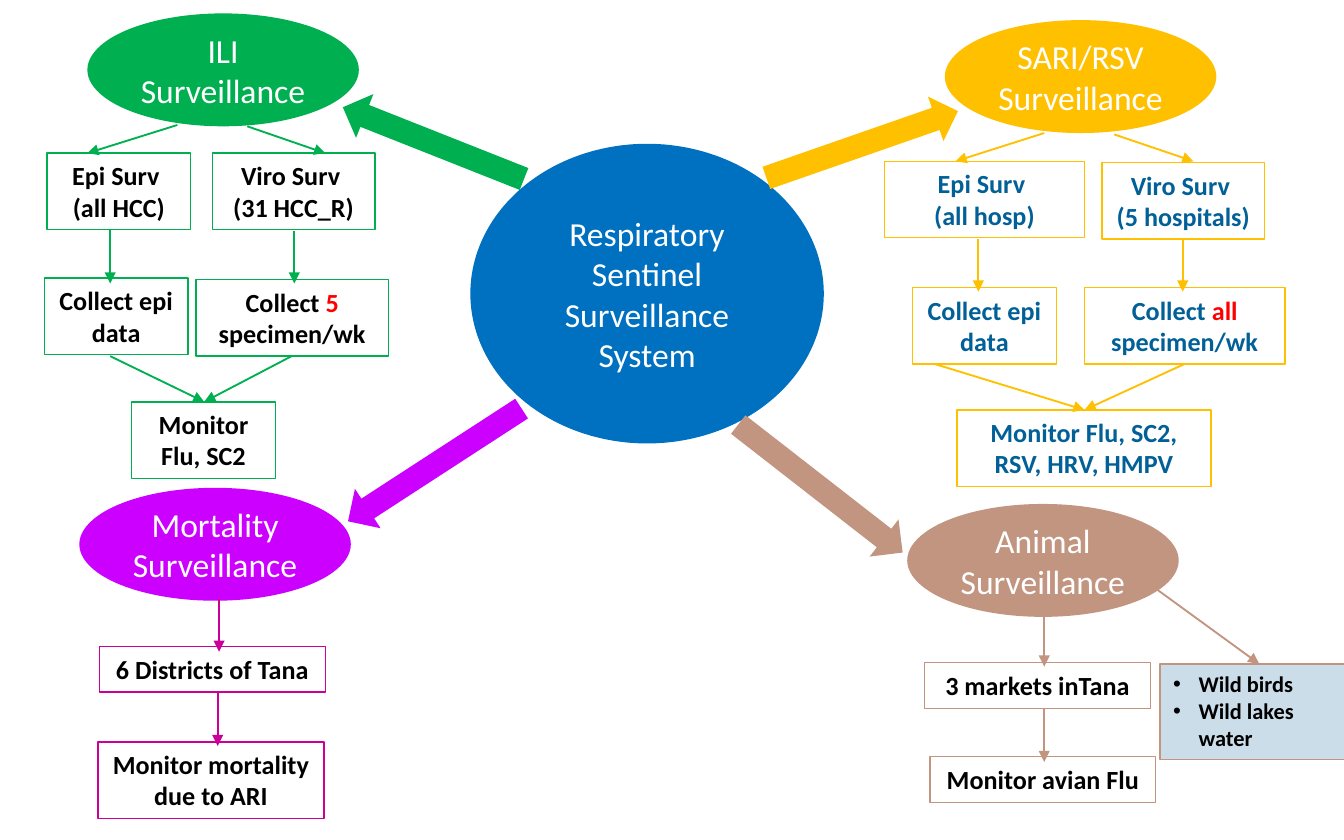
from lxml import etree
from pptx import Presentation
from pptx import util as u
from pptx.dml.color import RGBColor
from pptx.enum import shapes, text
from pptx.oxml import ns

COLORS = {
    "blue": "0070C0", "green": "00B050", "yellow": "FFC000",
    "purple": "CC00FF", "magenta": "CC0099", "brown": "C29580",
    "navy": "006097", "pale": "CCDDEA", "red": "FF0000",
    "black": "000000", "white": "FFFFFF",
}
FONT = "Calibri"
ONE_LINE, TWO_LINES = 0.34, 0.57   # box heights
ARROW_WIDTH = 0.35
OVAL_WIDTH, OVAL_HEIGHT = 2.02, 0.84

# Block arrows from the hub: left, top, length, rotation, colour
HUB_ARROWS = [
    (6.24, 0.32, 1.51, 250.8, "yellow"),
    (5.93, 2.86, 1.55, 307.9, "brown"),
    (3.05, 0.34, 1.45, 111.6, "green"),
    (3.06, 2.69, 1.54, 57, "purple"),
]

# Ovals: left, top, label, colour
OVALS = [
    (0.65, 0.1, "ILI Surveillance", "green"),
    (7.03, 0.15, "SARI/RSV Surveillance", "yellow"),
    (0.59, 3.63, "Mortality Surveillance", "purple"),
    (6.75, 3.75, "Animal Surveillance", "brown"),
]

# Branches: line colour, text colour, boxes and arrows.
# Box: left, top, width, height, paragraphs; a tuple paragraph holds
# (before, highlighted, after). Arrow: x and y of start, x and y of end.
BRANCHES = [
    ("green", "black", [
        (1.58, 1.14, 1.21, TWO_LINES, ["Viro Surv ", "(31 HCC_R)"]),
        (0.35, 1.14, 1.07, TWO_LINES, ["Epi Surv ", "(all HCC)"]),
        (0.33, 2.07, 1.07, TWO_LINES, ["Collect epi data"]),
        (1.46, 2.08, 1.43, TWO_LINES, [("Collect ", "5 ", "specimen/wk")]),
        (0.98, 2.99, 1.07, TWO_LINES, ["Monitor Flu, SC2"]),
    ], [
        (1.32, 0.93, 0.65, 1.14), (1.84, 0.94, 2.42, 1.14),
        (2.19, 1.72, 2.19, 2.11), (0.82, 1.71, 0.82, 2.11),
        (0.82, 2.65, 1.52, 2.99), (2.17, 2.65, 1.52, 2.99),
    ]),
    ("yellow", "navy", [
        (8.2, 1.21, 1.21, TWO_LINES, ["Viro Surv ", "(5 hospitals)"]),
        (6.58, 1.2, 1.49, TWO_LINES, ["Epi Surv ", "(all hosp)"]),
        (6.79, 2.14, 1.07, TWO_LINES, ["Collect epi data"]),
        (8.07, 2.14, 1.49, TWO_LINES, [("Collect ", "all ", "specimen/wk")]),
        (7.12, 3.05, 1.89, TWO_LINES, ["Monitor Flu, SC2, RSV, HRV, HMPV"]),
    ], [
        (7.77, 0.99, 7.11, 1.2), (8.29, 1, 8.88, 1.2),
        (8.8, 1.78, 8.8, 2.17), (7.28, 1.78, 7.28, 2.17),
        (6.96, 2.71, 8.07, 3.05), (8.81, 2.71, 8.07, 3.05),
    ]),
    ("magenta", "black", [
        (0.74, 4.81, 1.68, ONE_LINE, ["6 Districts of Tana"]),
        (0.73, 5.52, 1.68, TWO_LINES, ["Monitor mortality due to ARI"]),
    ], [
        (1.63, 4.45, 1.63, 4.85), (1.62, 5.16, 1.62, 5.55),
    ]),
    ("brown", "black", [
        (6.88, 4.93, 1.68, ONE_LINE, ["3 markets inTana"]),
        (6.92, 5.63, 1.68, ONE_LINE, ["Monitor avian Flu"]),
    ], [
        (7.77, 4.57, 7.77, 4.96), (7.77, 5.27, 7.77, 5.67),
        (8.6, 4.38, 9.37, 4.94),
    ]),
]


def rgb(name):
    return RGBColor.from_string(COLORS[name])


def add_span(para, words, size, color, bold=False):
    span = para.add_run()
    span.text = words
    span.font.name = FONT
    span.font.size = u.Pt(size)
    span.font.bold = bold
    span.font.color.rgb = rgb(color)


def add_paragraphs(frame, count):
    return [frame.paragraphs[0]] + [frame.add_paragraph() for _ in range(count - 1)]


def add_filled_shape(page, kind, left, top, width, height, color):
    shape = page.shapes.add_shape(kind, *map(u.Inches, (left, top, width, height)))
    shape.shadow.inherit = False
    shape.fill.solid()
    shape.fill.fore_color.rgb = rgb(color)
    shape.line.fill.background()
    return shape


def add_oval(page, left, top, width, height, lines, color):
    oval = add_filled_shape(page, shapes.MSO_SHAPE.OVAL, left, top, width, height, color)
    frame = oval.text_frame
    frame.word_wrap = True
    frame.margin_left = frame.margin_right = u.Inches(0.08)
    frame.vertical_anchor = text.MSO_ANCHOR.MIDDLE
    for para, words in zip(add_paragraphs(frame, len(lines)), lines):
        para.alignment = text.PP_ALIGN.CENTER
        add_span(para, words, 18, "white")


def add_hub_arrow(page, left, top, length, rotation, color):
    arrow = add_filled_shape(page, shapes.MSO_SHAPE.DOWN_ARROW,
                             left, top, ARROW_WIDTH, length, color)
    arrow.rotation = rotation


def add_frame_box(page, left, top, width, height, line_color):
    box = page.shapes.add_textbox(*map(u.Inches, (left, top, width, height)))
    box.line.color.rgb = rgb(line_color)
    box.line.width = u.Pt(0.75)
    box.text_frame.word_wrap = True
    box.text_frame.auto_size = text.MSO_AUTO_SIZE.SHAPE_TO_FIT_TEXT
    return box


def add_step(page, left, top, width, height, lines, line_color, text_color):
    box = add_frame_box(page, left, top, width, height, line_color)
    for para, words in zip(add_paragraphs(box.text_frame, len(lines)), lines):
        para.alignment = text.PP_ALIGN.CENTER
        parts = (words,) if isinstance(words, str) else words
        for index, part in enumerate(parts):
            add_span(para, part, 14, "red" if index == 1 else text_color, bold=True)


def add_bullet_box(page, left, top, width, height, items, line_color, fill):
    box = add_frame_box(page, left, top, width, height, line_color)
    box.fill.solid()
    box.fill.fore_color.rgb = rgb(fill)
    for para, words in zip(add_paragraphs(box.text_frame, len(items)), items):
        props = para._p.get_or_add_pPr()
        props.set("marL", str(u.Inches(0.19)))
        props.set("indent", str(-u.Inches(0.19)))
        etree.SubElement(props, ns.qn("a:buFont"), typeface="Arial")
        etree.SubElement(props, ns.qn("a:buChar"), char="•")
        add_span(para, words, 12, "black", bold=True)


def add_line_arrow(page, points, color):
    line = page.shapes.add_connector(shapes.MSO_CONNECTOR.STRAIGHT,
                                     *map(u.Inches, points))
    line.line.color.rgb = rgb(color)
    line.line.width = u.Pt(1)
    etree.SubElement(line.line._get_or_add_ln(), ns.qn("a:tailEnd"), type="triangle")
    etree.SubElement(line._element.spPr, ns.qn("a:effectLst"))


def main():
    deck = Presentation()
    deck.slide_width, deck.slide_height = u.Inches(10), u.Inches(6.25)
    page = deck.slides.add_slide(deck.slide_layouts[6])

    # Hub and its block arrows
    add_oval(page, 3.5, 1.07, 2.63, 2.23,
             ["Respiratory", "Sentinel Surveillance System"], "blue")
    for arrow in HUB_ARROWS:
        add_hub_arrow(page, *arrow)

    # Surveillance types
    for left, top, label, color in OVALS:
        add_oval(page, left, top, OVAL_WIDTH, OVAL_HEIGHT, [label], color)

    # Steps of each branch
    for line_color, text_color, steps, arrows in BRANCHES:
        for step in steps:
            add_step(page, *step, line_color, text_color)
        for points in arrows:
            add_line_arrow(page, points, line_color)

    # Wild sampling sites
    add_bullet_box(page, 8.63, 4.94, 1.49, 0.71,
                   ["Wild birds", "Wild lakes water"], "brown", "pale")

    deck.save("out.pptx")


if __name__ == "__main__":
    main()
